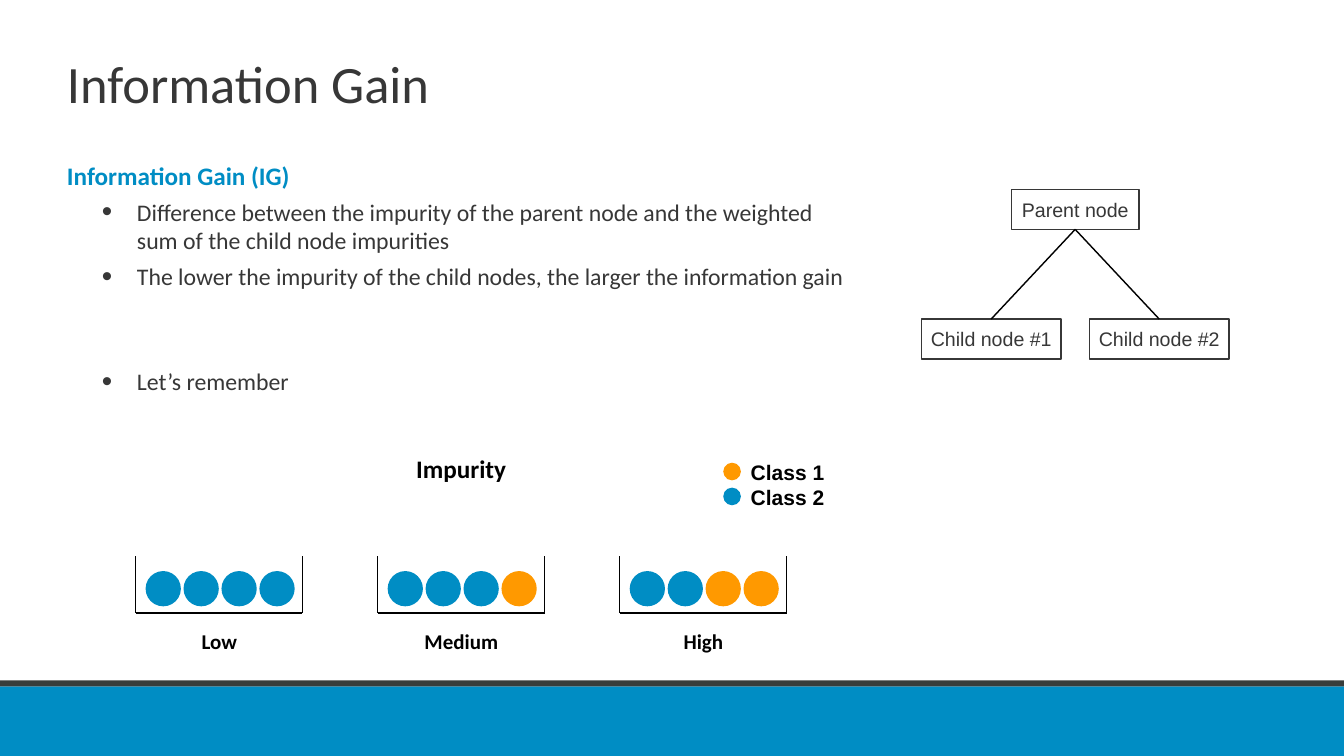
from dataclasses import dataclass

from lxml import etree
from pptx import Presentation
from pptx import util as u
from pptx.dml.color import RGBColor
from pptx.enum import shapes, text
from pptx.oxml import ns

TITLE = "Information Gain"
HEADING = "Information Gain (IG)"
BULLETS = [
    ("Difference between the impurity of the parent node and the weighted "
     "sum of the child node impurities", 10),
    ("The lower the impurity of the child nodes, the larger the information gain", 10),
    ("Let’s remember", 110),
]
PARENT = "Parent node"
CHILDREN = ["Child node #1", "Child node #2"]
IMPURITY = "Impurity"
CLASSES = {1: "Class 1", 2: "Class 2"}
BINS = [("Low", (2, 2, 2, 2)), ("Medium", (2, 2, 2, 1)), ("High", (2, 2, 1, 1))]


@dataclass(frozen=True)
class Theme:
    ink: str = "373737"
    black: str = "000000"
    blue: str = "008DC4"
    orange: str = "FF9900"
    stripe: str = "383D3B"
    sans: str = "Calibri"
    plain: str = "Arial"
    title: int = 75
    heading: int = 36
    body: int = 34
    label: int = 30
    node: int = 28
    line: int = 2
    inset: float = 4.32


theme = Theme()
CLASS_COLORS = {1: theme.orange, 2: theme.blue}

deck = Presentation()
deck.slide_width, deck.slide_height = u.Pt(1920), u.Pt(1080)
slide = deck.slides.add_slide(deck.slide_layouts[5])


def points(*values):
    return [u.Pt(value) for value in values]


def write(box, words, size, color=theme.black, font=theme.sans, bold=False,
          align=text.PP_ALIGN.CENTER, anchor=text.MSO_ANCHOR.MIDDLE,
          before=0, bullet=False):
    frame = box.text_frame
    frame.word_wrap = True
    frame.auto_size = text.MSO_AUTO_SIZE.NONE
    frame.vertical_anchor = anchor
    frame.margin_left = frame.margin_right = u.Pt(theme.inset)
    frame.margin_top = frame.margin_bottom = u.Pt(theme.inset)
    para = frame.add_paragraph() if frame.text else frame.paragraphs[0]
    if bullet:
        para.level = 1
        props = para._p.get_or_add_pPr()
        props.set("marL", str(u.Pt(100)))
        props.set("indent", str(u.Pt(-50)))
        etree.SubElement(props, ns.qn("a:buSzPct"), val="125000")
        etree.SubElement(props, ns.qn("a:buFont"), typeface=theme.plain)
        etree.SubElement(props, ns.qn("a:buChar"), char="•")
    para.alignment = align
    para.space_before = u.Pt(before)
    span = para.add_run()
    span.text = words
    span.font.size = u.Pt(size)
    span.font.name = font
    span.font.bold = bold
    span.font.color.rgb = RGBColor.from_string(color)


def add_box(left, top, width, height):
    return slide.shapes.add_textbox(*points(left, top, width, height))


def add_solid(kind, left, top, width, height, fill=None, line=None):
    shape = slide.shapes.add_shape(kind, *points(left, top, width, height))
    shape.shadow.inherit = False
    if fill:
        shape.fill.solid()
        shape.fill.fore_color.rgb = RGBColor.from_string(fill)
    else:
        shape.fill.background()
    if line:
        shape.line.color.rgb = RGBColor.from_string(line)
        shape.line.width = u.Pt(theme.line)
    else:
        shape.line.fill.background()
    return shape


def add_line(*ends):
    line = slide.shapes.add_connector(shapes.MSO_CONNECTOR.STRAIGHT, *points(*ends))
    line.line.color.rgb = RGBColor.from_string(theme.black)
    line.line.width = u.Pt(theme.line)
    etree.SubElement(line._element.spPr, ns.qn("a:effectLst"))


def add_node(words, center, top, width):
    node = add_solid(RECT, center - width / 2, top, width, NODE_HEIGHT, line=theme.ink)
    write(node, words, theme.node, color=theme.ink, font=theme.plain)


RECT = shapes.MSO_SHAPE.RECTANGLE
OVAL = shapes.MSO_SHAPE.OVAL
LEFT = text.PP_ALIGN.LEFT
TOP = text.MSO_ANCHOR.TOP

add_solid(RECT, -3.6, 980.6, 1926.7, 100, fill=theme.blue)
add_solid(RECT, -2.2, 972, 1923.8, 8.6, fill=theme.stripe)

title = slide.shapes.title
title.left, title.top, title.width, title.height = points(91.4, 28, 1785, 180)
write(title, TITLE, theme.title, color=theme.ink, align=LEFT)

body = add_box(91.4, 224.6, 1132.6, 697.7)
write(body, HEADING, theme.heading, color=theme.blue, bold=True, align=LEFT, anchor=TOP)
for words, before in BULLETS:
    write(body, words, theme.body, color=theme.ink, align=LEFT, anchor=TOP,
          before=before, bullet=True)

NODE_HEIGHT = 57
tree_center, parent_top, child_top, child_offset = 1536, 270.7, 455.8, 120
add_node(PARENT, tree_center, parent_top, 182)
for side, words in zip((-1, 1), CHILDREN):
    child_center = tree_center + side * child_offset
    add_node(words, child_center, child_top, 199.5)
    add_line(tree_center, parent_top + NODE_HEIGHT, child_center, child_top)

write(add_box(506.9, 643.7, 303.8, 51.8), IMPURITY, theme.heading, bold=True)

bin_left, bin_pitch, bin_width, bin_top, bin_bottom = 193.8, 345.8, 238.3, 794, 876
ball_size, ball_pitch = 50.4, 54.2
for index, (name, balls) in enumerate(BINS):
    left = bin_left + index * bin_pitch
    right = left + bin_width
    add_line(left, bin_bottom, right, bin_bottom)
    for wall in (left, right):
        add_line(wall, bin_bottom, wall, bin_top)
    for place, ball in enumerate(balls):
        add_solid(OVAL, left + 14.2 + place * ball_pitch, 815.8, ball_size, ball_size,
                  fill=CLASS_COLORS[ball])
    write(add_box(left + 42.4, 894.2, 154, 44.6), name, theme.label, bold=True)

for row, (key, name) in enumerate(CLASSES.items()):
    shift = row * 35.6
    add_solid(OVAL, 1033.2, 661 + shift, 25.2, 25.2, fill=CLASS_COLORS[key])
    write(add_box(1058.4, 651.6 + shift, 133.2, 44.6), name, theme.label,
          font=theme.plain, bold=True)

deck.save("out.pptx")
